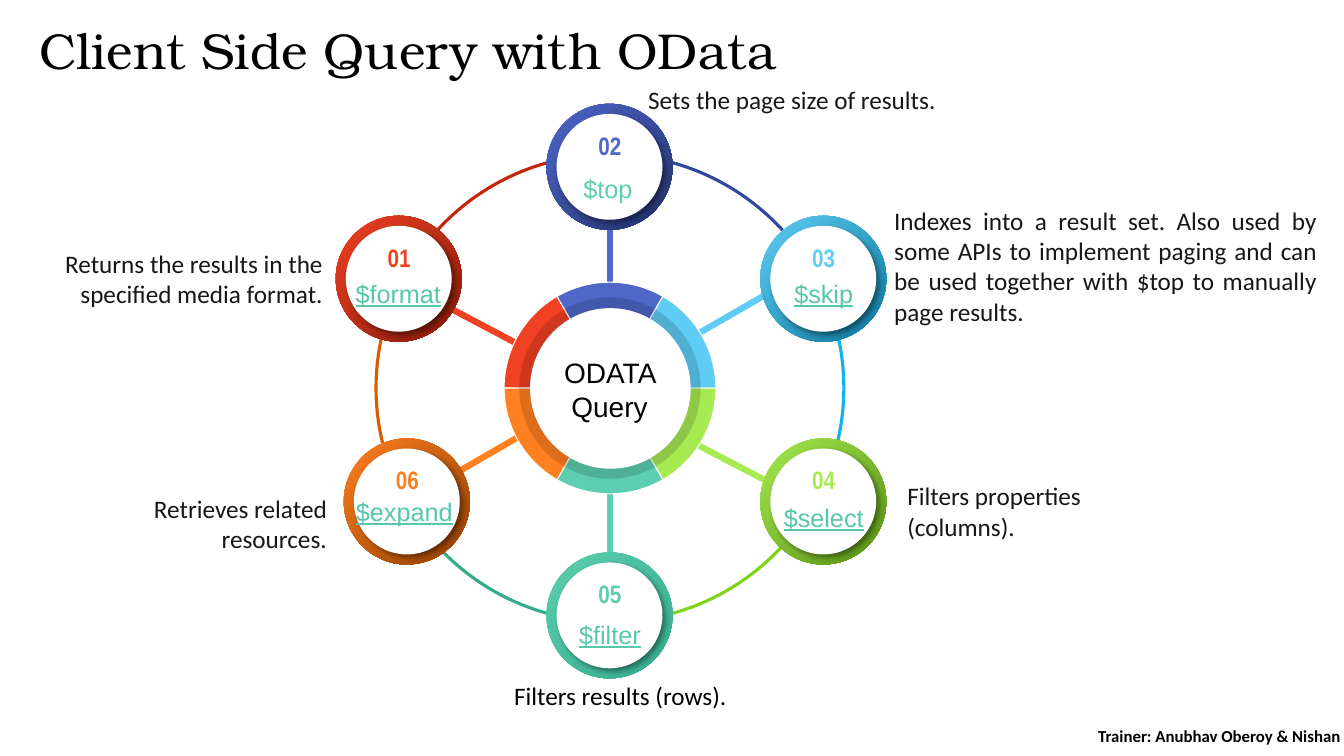
import pptx
import pptx.util
import pptx.dml.color
import pptx.enum.shapes
import pptx.enum.text
import pptx.oxml
import pptx.oxml.ns

PX = 9144
COLORS = {
    "black": "000000", "white": "FFFFFF", "ink": "171717", "link": "56C7AA",
    "red": "F14124", "red_dark": "821A08", "red_arc": "C3260C",
    "blue": "4E67C8", "blue_dark": "21306A", "blue_arc": "31489F",
    "cyan": "5ECCF3", "cyan_dark": "0C779D", "cyan_arc": "12B2EB",
    "lime": "A7EA52", "lime_dark": "568D11", "lime_arc": "81D31A",
    "teal": "5DCEAF", "teal_dark": "34AC8B", "teal_arc": "34AC8B",
    "orange": "FF8021", "orange_dark": "903E00", "orange_arc": "D85C00",
}
SHAPE = pptx.enum.shapes.MSO_SHAPE
ALIGN = pptx.enum.text.PP_ALIGN
ANCHOR = pptx.enum.text.MSO_ANCHOR

# hue, word, disc corner, word corner, spoke ends, arc angles
NODES = [
    ("red", "$format", (333, 214), (343, 276), (443, 304, 513, 341), (222.2, 255.1)),
    ("blue", "$top", (542, 103), (551, 172), (605, 217, 605, 289), (284.1, 319.7)),
    ("cyan", "$skip", (754, 214), (765, 276), (760, 292, 689, 333), (345.1, 14.7)),
    ("lime", "$select", (754, 435), (765, 498), (689, 440, 760, 477), (40.1, 74.7)),
    ("teal", "$filter", (542, 548), (553, 614), (605, 478, 605, 550), (105.5, 136.3)),
    ("orange", "$expand", (341, 435), (349, 492), (522, 429, 451, 470), (164.9, 194.7)),
]
NOTES = [
    ("Returns the results in the specified media format.", (28, 241, 302, 71), ALIGN.RIGHT, "ink", ANCHOR.TOP),
    ("Sets the page size of results.", (633, 79, 400, 40), ALIGN.LEFT, "ink", ANCHOR.TOP),
    ("Indexes into a result set. Also used by some APIs to implement paging "
     "and can be used together with $top to manually page results.",
     (877, 198, 439, 131), ALIGN.JUSTIFY, "ink", ANCHOR.MIDDLE),
    ("Filters properties (columns).", (890, 472, 278, 71), ALIGN.LEFT, "ink", ANCHOR.TOP),
    ("Filters results (rows).", (500, 670, 333, 40), ALIGN.LEFT, "black", ANCHOR.TOP),
    ("Retrieves related resources.", (83, 484, 251, 71), ALIGN.RIGHT, "ink", ANCHOR.TOP),
]


def emu(box):
    return [n * PX for n in box]


def rgb(name):
    return pptx.dml.color.RGBColor.from_string(COLORS[name])


def xml(tag, body):
    space = pptx.oxml.ns.nsdecls("a")
    return pptx.oxml.parse_xml(f"<a:{tag} {space}>{body}</a:{tag}>")


def add_shape(slide, kind, box, fill=None):
    shape = slide.shapes.add_shape(kind, *emu(box))
    shape.shadow.inherit = False
    shape.line.fill.background()
    if fill:
        shape.fill.solid()
        shape.fill.fore_color.rgb = rgb(fill)
    else:
        shape.fill.background()
    return shape


def add_spoke(slide, ends, hue):
    spoke = slide.shapes.add_connector(pptx.enum.shapes.MSO_CONNECTOR.STRAIGHT, *emu(ends))
    spoke.line.color.rgb = rgb(hue)
    spoke.line.width = pptx.util.Pt(4.5)
    spoke._element.spPr.append(xml("effectLst", ""))


def add_arc(slide, angles, hue):
    arc = add_shape(slide, SHAPE.ARC, (373, 153, 464, 464))
    for i, angle in enumerate(angles):
        arc.adjustments[i] = angle * 0.6
    arc.line.color.rgb = rgb(hue)
    arc.line.width = pptx.util.Pt(2.25)


def add_wedge(slide, start, hue):
    wedge = add_shape(slide, SHAPE.BLOCK_ARC, (500, 280, 210, 210), hue)
    for i, angle in enumerate((start, start + 60)):
        wedge.adjustments[i] = angle % 360 * 0.6
    wedge.adjustments[2] = 0.125
    wedge.line.color.rgb = rgb("white")
    wedge.line.width = 0


def add_disc(slide, left, top, hue):
    rim = add_shape(slide, SHAPE.OVAL, (left, top, 125, 125))
    rim.fill.gradient()
    rim.fill.gradient_angle = 315
    for stop, name in zip(rim.fill.gradient_stops, (hue, hue + "_dark")):
        stop.color.rgb = rgb(name)
    face = add_shape(slide, SHAPE.OVAL, (left + 10, top + 10, 105, 105), "white")
    props = face._element.spPr
    props.remove(props.find(pptx.oxml.ns.qn("a:effectLst")))
    props.append(xml(
        "effectLst",
        '<a:outerShdw blurRad="50800" dist="38100" dir="2700000" algn="tl" rotWithShape="0">'
        '<a:srgbClr val="000000"><a:alpha val="40000"/></a:srgbClr></a:outerShdw>'))


def style(para, face, size, color, align, bold=False, under=False):
    para.alignment = align
    font = para.font
    font.name = face
    font.size = pptx.util.Pt(size)
    font.color.rgb = rgb(color)
    font.bold = bold
    font.underline = under


def add_text(slide, text, box, face, size, color, align=ALIGN.CENTER,
             anchor=ANCHOR.MIDDLE, bold=False, under=False, tight=False):
    frame = slide.shapes.add_textbox(*emu(box)).text_frame
    frame.word_wrap = True
    frame.vertical_anchor = anchor
    if tight:
        frame.margin_left = frame.margin_right = 0
        frame.margin_top = frame.margin_bottom = 0
    frame.text = text
    style(frame.paragraphs[0], face, size, color, align, bold, under)


def add_title(slide):
    title = slide.shapes.title
    title.left, title.top, title.width, title.height = emu((29, 21, 1235, 78))
    frame = title.text_frame
    frame.text = "Client Side Query with OData"
    frame.auto_size = pptx.enum.text.MSO_AUTO_SIZE.NONE
    frame.vertical_anchor = ANCHOR.TOP
    para = frame.paragraphs[0]
    para.line_spacing = 0.9
    style(para, "TeX Gyre Bonum", 36, "black", ALIGN.LEFT)


def add_hub(slide):
    for i, node in enumerate(NODES):
        add_wedge(slide, 180 + 60 * i, node[0])
    shade = add_shape(slide, SHAPE.OVAL, (515, 295, 180, 180), "black")
    tint = shade._element.spPr.find(".//" + pptx.oxml.ns.qn("a:srgbClr"))
    tint.append(pptx.oxml.parse_xml(
        f'<a:alpha {pptx.oxml.ns.nsdecls("a")} val="14000"/>'))
    add_shape(slide, SHAPE.OVAL, (526, 306, 159, 159), "white")
    add_text(slide, "ODATA Query", (530, 348, 149, 77), "Arial", 20, "black")


def add_node(slide, i, hue, word, disc, spot):
    left, top = disc
    add_disc(slide, left, top, hue)
    add_text(slide, f"{i:02}", (left + 23, top + 16, 80, 40), "Arial Narrow", 18, hue,
             anchor=ANCHOR.BOTTOM, bold=True, tight=True)
    plain = word == "$top"
    add_text(slide, word, (*spot, 104, 30), "Arial", 18, "teal" if plain else "link",
             under=not plain, tight=True)


def main():
    deck = pptx.Presentation()
    deck.slide_width, deck.slide_height = emu((1333, 750))
    slide = deck.slides.add_slide(deck.slide_layouts[5])
    add_title(slide)
    for hue, _, _, _, ends, angles in NODES:
        add_spoke(slide, ends, hue)
        add_arc(slide, angles, hue + "_arc")
    add_hub(slide)
    for i, node in enumerate(NODES, 1):
        add_node(slide, i, *node[:4])
    for text, box, align, color, anchor in NOTES:
        add_text(slide, text, box, "Calibri", 18, color, align, anchor)
    add_text(slide, "Trainer: Anubhav Oberoy & Nishan", (1068, 722, 283, 16),
             "Calibri", 12, "black", bold=True)
    deck.save("out.pptx")


if __name__ == "__main__":
    main()
